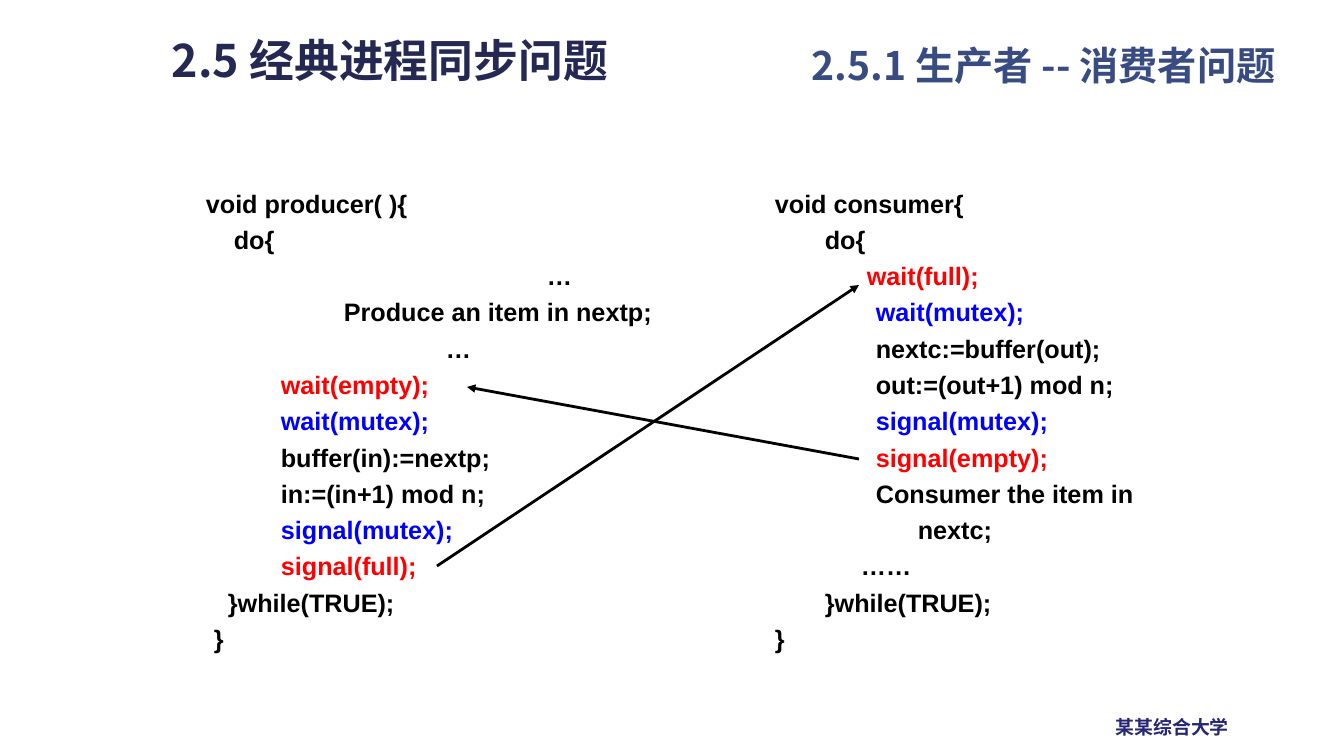
from pptx import Presentation
from pptx.dml.color import RGBColor
from pptx.enum.shapes import MSO_CONNECTOR
from pptx.enum.text import MSO_ANCHOR
from pptx.oxml.ns import qn
from pptx.util import Emu, Pt
from lxml.etree import SubElement

# Content: each code line is (indent in px, text, colour role)
PRODUCER = [
    (0, "void producer( ){", "code"),
    (28, "do{", "code"),
    (341, "…", "code"),
    (138, "Produce an item in nextp;", "code"),
    (240, "…", "code"),
    (75, "wait(empty);", "resource"),
    (75, "wait(mutex);", "mutex"),
    (75, "buffer(in):=nextp;", "code"),
    (75, "in:=(in+1) mod n;", "code"),
    (75, "signal(mutex);", "mutex"),
    (75, "signal(full);", "resource"),
    (22, "}while(TRUE);", "code"),
    (8, "}", "code"),
]
CONSUMER = [
    (0, "void consumer{", "code"),
    (50, "do{", "code"),
    (92, "wait(full);", "resource"),
    (101, "wait(mutex);", "mutex"),
    (101, "nextc:=buffer(out);", "code"),
    (101, "out:=(out+1) mod n;", "code"),
    (101, "signal(mutex);", "mutex"),
    (101, "signal(empty);", "resource"),
    (101, "Consumer the item in nextc;", "code"),
    (86, "……", "code"),
    (50, "}while(TRUE);", "code"),
    (0, "}", "code"),
]
# Text blocks: (left, top, width, height), lines, type role, wraps
BLOCKS = [
    ((1106, 711, 135, 33), [(0, "某某综合大学", "footer")], "footer", False),
    ((196, 177, 504, 484), PRODUCER, "code", True),
    ((765, 177, 409, 422), CONSUMER, "code", True),
    ((802, 36, 517, 73), [(0, "2.5.1 生产者 -- 消费者问题", "subtitle")], "subtitle", True),
    ((162, 28, 506, 65), [(0, "2.5 经典进程同步问题", "title")], "title", True),
]
# Arrows from a signal to the wait it releases: (start, end)
ARROWS = [
    ((859, 459), (467, 387)),
    ((437, 566), (859, 285)),
]

THEME = {
    "colors": {
        "code": "000000", "resource": "FF0000", "mutex": "0000FF",
        "title": "242852", "subtitle": "384C81", "footer": "262673", "arrow": "000000",
    },
    # Type role: font, size in points, line spacing
    "type": {
        "code": ("Arial", 18, 1.2),
        "title": ("Noto Sans CJK SC", 32, 1.0),
        "subtitle": ("Noto Sans CJK SC", 28, 1.0),
        "footer": ("Noto Sans CJK SC", 13.5, 1.0),
    },
    "arrow_width": 2,
}
SLIDE_SIZE = (1344, 756)
HANGING = 42
EMU_PER_PX = 914400 / 100.8


def px(length):
    return Emu(round(length * EMU_PER_PX))


def color(role):
    return RGBColor.from_string(THEME["colors"][role])


def set_values(target, values):
    for name, value in values.items():
        setattr(target, name, value)


def add_text(slide, box, lines, type_role, wraps):
    font_name, size, spacing = THEME["type"][type_role]
    frame = slide.shapes.add_textbox(*map(px, box)).text_frame
    set_values(frame, {"word_wrap": wraps, "vertical_anchor": MSO_ANCHOR.TOP})
    for index, (indent, text, color_role) in enumerate(lines):
        paragraph = frame.add_paragraph() if index else frame.paragraphs[0]
        paragraph.line_spacing = spacing
        # Wrapped lines hang to the right of the first one
        properties = paragraph._p.get_or_add_pPr()
        properties.set("marL", str(px(indent + HANGING)))
        properties.set("indent", str(px(-HANGING)))
        run = paragraph.add_run()
        run.text = text
        set_values(run.font, {"name": font_name, "size": Pt(size), "bold": True})
        run.font.color.rgb = color(color_role)
        SubElement(run.font._element, qn("a:ea"), typeface=font_name)


def add_arrow(slide, start, end):
    arrow = slide.shapes.add_connector(
        MSO_CONNECTOR.STRAIGHT, *map(px, start + end))
    arrow.line.width = Pt(THEME["arrow_width"])
    arrow.line.color.rgb = color("arrow")
    SubElement(arrow.line._get_or_add_ln(), qn("a:tailEnd"), type="triangle")
    SubElement(arrow._element.spPr, qn("a:effectLst"))


def main():
    presentation = Presentation()
    width, height = map(px, SLIDE_SIZE)
    set_values(presentation, {"slide_width": width, "slide_height": height})
    slide = presentation.slides.add_slide(presentation.slide_layouts[6])

    # Headings, code columns and footer
    for block in BLOCKS:
        add_text(slide, *block)

    # Links between the two processes
    for start, end in ARROWS:
        add_arrow(slide, start, end)

    presentation.save("out.pptx")


if __name__ == "__main__":
    main()
